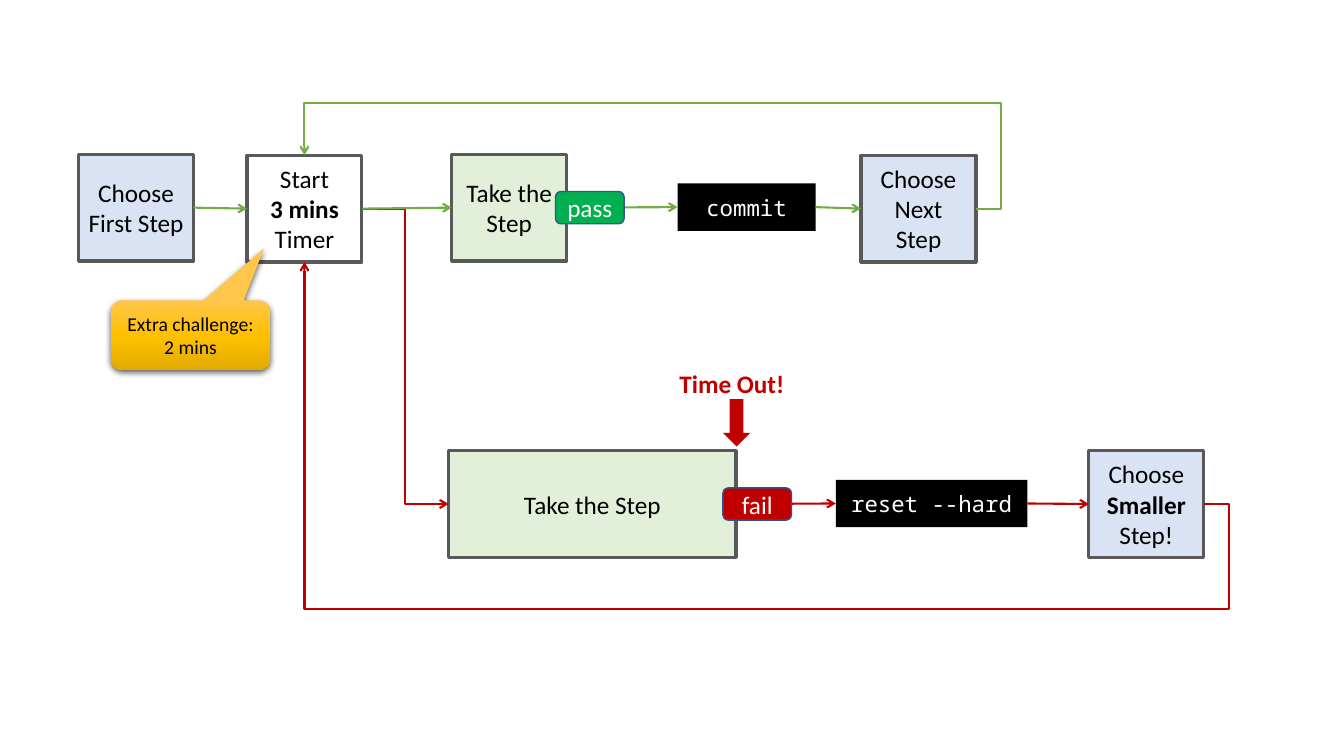
import copy

import pptx
import pptx.dml.color
import pptx.enum.shapes
import pptx.enum.text
import pptx.oxml
import pptx.oxml.ns
import pptx.util
from pptx.util import Inches

RGBColor = pptx.dml.color.RGBColor
SHAPE = pptx.enum.shapes.MSO_SHAPE
CONNECTOR = pptx.enum.shapes.MSO_CONNECTOR
qn = pptx.oxml.ns.qn

BLACK = RGBColor(0x00, 0x00, 0x00)
WHITE = RGBColor(0xFF, 0xFF, 0xFF)
GREY = RGBColor(0x59, 0x59, 0x59)
NAVY = RGBColor(0x32, 0x54, 0x91)
PALE_BLUE = RGBColor(0xDA, 0xE3, 0xF3)
PALE_GREEN = RGBColor(0xE2, 0xF0, 0xD9)
PASS_GREEN = RGBColor(0x00, 0xB0, 0x50)
ARROW_GREEN = RGBColor(0x70, 0xAD, 0x47)
RED = RGBColor(0xC0, 0x00, 0x00)
AMBERS = [RGBColor(0xFF, 0xC6, 0x4B), RGBColor(0xFF, 0xC0, 0x00), RGBColor(0xE3, 0xAB, 0x00)]

TOP, RIGHT, BOTTOM, LEFT = 0, 3, 2, 1
STEP_W, STEP_H = 1.14, 1.06

prs = pptx.Presentation()
prs.slide_width, prs.slide_height = Inches(13.33), Inches(7.5)
slide = prs.slides.add_slide(prs.slide_layouts[6])


def add_box(kind, left, top, width, height, fill, paragraphs, line=None, line_width=1,
            size=18, font="Calibri", color=BLACK):
    """Add a filled shape; each paragraph is a list of (text, bold) runs."""
    box = slide.shapes.add_shape(kind, Inches(left), Inches(top), Inches(width), Inches(height))
    box.shadow.inherit = False
    if fill is not None:
        box.fill.solid()
        box.fill.fore_color.rgb = fill
    if line is None:
        box.line.fill.background()
    else:
        box.line.color.rgb = line
        box.line.width = pptx.util.Pt(line_width)
    frame = box.text_frame
    frame.word_wrap = True
    frame.margin_left = frame.margin_right = Inches(0.09)
    frame.vertical_anchor = pptx.enum.text.MSO_ANCHOR.MIDDLE
    for index, runs in enumerate(paragraphs):
        paragraph = frame.add_paragraph() if index else frame.paragraphs[0]
        paragraph.alignment = pptx.enum.text.PP_ALIGN.CENTER
        paragraph.font.size = pptx.util.Pt(size)
        paragraph.font.name = font
        paragraph.font.color.rgb = color
        for text, bold in runs:
            if text == "\v":
                paragraph.add_line_break()
                continue
            run = paragraph.add_run()
            run.text = text
            if bold:
                run.font.bold = True
    return box


def add_arrow(source, source_side, target, target_side, color, bend=None, adjustments=()):
    """Join two boxes with an arrow; bend names a preset elbow geometry."""
    kind = CONNECTOR.ELBOW if bend else CONNECTOR.STRAIGHT
    arrow = slide.shapes.add_connector(kind, 0, 0, 0, 0)
    arrow.begin_connect(source, source_side)
    arrow.end_connect(target, target_side)
    arrow.line.color.rgb = color
    arrow.line.width = pptx.util.Pt(1.5)
    properties = arrow._element.spPr
    tail = pptx.oxml.parse_xml(f'<a:tailEnd {pptx.oxml.ns.nsdecls("a")} type="arrow"/>')
    arrow.line._get_or_add_ln().append(tail)
    properties.append(pptx.oxml.parse_xml(f'<a:effectLst {pptx.oxml.ns.nsdecls("a")}/>'))
    if bend:
        geometry = properties.find(qn("a:prstGeom"))
        geometry.set("prst", bend)
        guides = geometry.get_or_add_avLst()
        for number, value in enumerate(adjustments, 1):
            guides.append(pptx.oxml.parse_xml(
                f'<a:gd {pptx.oxml.ns.nsdecls("a")} name="adj{number}" '
                f'fmla="val {round(value * 100000)}"/>'))


# Steps of the workflow
steps = {}
for name, left, top, width, fill, paragraphs in [
    ("first", 0.78, 1.53, STEP_W, PALE_BLUE, [[("Choose First Step", False)]]),
    ("timer", 2.45, 1.54, STEP_W, WHITE,
     [[("Start", False), ("\v", False), ("3 mins ", True), ("Timer", False)]]),
    ("passing", 4.48, 1.53, STEP_W, PALE_GREEN, [[("Take the Step", False)]]),
    ("next", 8.54, 1.54, STEP_W, PALE_BLUE, [[("Choose Next Step", False)]]),
    ("failing", 4.45, 4.47, 2.85, PALE_GREEN, [[("Take the Step", False)]]),
    ("smaller", 10.8, 4.47, STEP_W, PALE_BLUE,
     [[("Choose", False)], [("Smaller", True), (" Step!", False)]]),
]:
    steps[name] = add_box(SHAPE.RECTANGLE, left, top, width, STEP_H, fill, paragraphs, GREY, 2.25)

# Version control commands
for name, left, top, width in [("commit", 6.72, 1.82, 1.37), ("reset --hard", 8.29, 4.76, 1.9)]:
    steps[name] = add_box(SHAPE.RECTANGLE, left, top, width, 0.47, BLACK, [[(name, False)]],
                          size=16, font="Noto Sans Mono", color=WHITE)

# Arrows between neighbours, then the loops back to the timer
add_arrow(steps["timer"], RIGHT, steps["failing"], LEFT, RED, "bentConnector3", [0.5])
for source, target, color in [
    ("first", "timer", ARROW_GREEN),
    ("timer", "passing", ARROW_GREEN),
    ("passing", "commit", ARROW_GREEN),
    ("commit", "next", ARROW_GREEN),
    ("failing", "reset --hard", RED),
    ("reset --hard", "smaller", RED),
]:
    add_arrow(steps[source], RIGHT, steps[target], LEFT, color)
add_arrow(steps["next"], RIGHT, steps["timer"], TOP, ARROW_GREEN, "bentConnector4", [-0.038, 1.981])
add_arrow(steps["smaller"], RIGHT, steps["timer"], BOTTOM, RED, "bentConnector4", [-0.028, -0.435])

# Outcomes
for outcome, left, top, fill in [("pass", 5.51, 1.9, PASS_GREEN), ("fail", 7.17, 4.84, RED)]:
    add_box(SHAPE.ROUNDED_RECTANGLE, left, top, 0.68, 0.32, fill, [[(outcome, False)]],
            NAVY, color=WHITE)

# Time out warning
time_out = slide.shapes.add_textbox(Inches(6.51), Inches(3.57), Inches(1.5), Inches(0.47))
time_out.text_frame.word_wrap = True
time_out.text_frame.vertical_anchor = pptx.enum.text.MSO_ANCHOR.MIDDLE
warning = time_out.text_frame.paragraphs[0]
warning.text = "Time Out!"
warning.alignment = pptx.enum.text.PP_ALIGN.CENTER
warning.font.name = "Calibri"
warning.font.size = pptx.util.Pt(18)
warning.font.bold = True
warning.font.color.rgb = RED
add_box(SHAPE.DOWN_ARROW, 7.17, 3.96, 0.27, 0.47, RED, [])

# Challenge callout
challenge = add_box(SHAPE.ROUNDED_RECTANGULAR_CALLOUT, 1.1, 2.98, 1.58, 0.69, None,
                    [[("Extra challenge:", False)], [("2 mins", False)]], size=14)
for index, value in enumerate([0.462, -1.248, 0.167]):
    challenge.adjustments[index] = value
challenge.fill.gradient()
challenge.fill.gradient_angle = 270
stop_list = challenge._element.spPr.find(qn("a:gradFill")).find(qn("a:gsLst"))
stop_list.insert(1, copy.deepcopy(stop_list[0]))
for stop, amber, position in zip(challenge.fill.gradient_stops, AMBERS, [0, 0.5, 1]):
    stop.color.rgb = amber
    stop.position = position
challenge._element.spPr.find(qn("a:effectLst")).append(pptx.oxml.parse_xml(
    f'<a:outerShdw {pptx.oxml.ns.nsdecls("a")} blurRad="57150" dist="19050" dir="5400000" '
    'algn="ctr" rotWithShape="0"><a:srgbClr val="000000"><a:alpha val="63000"/></a:srgbClr>'
    '</a:outerShdw>'))

prs.save("out.pptx")
